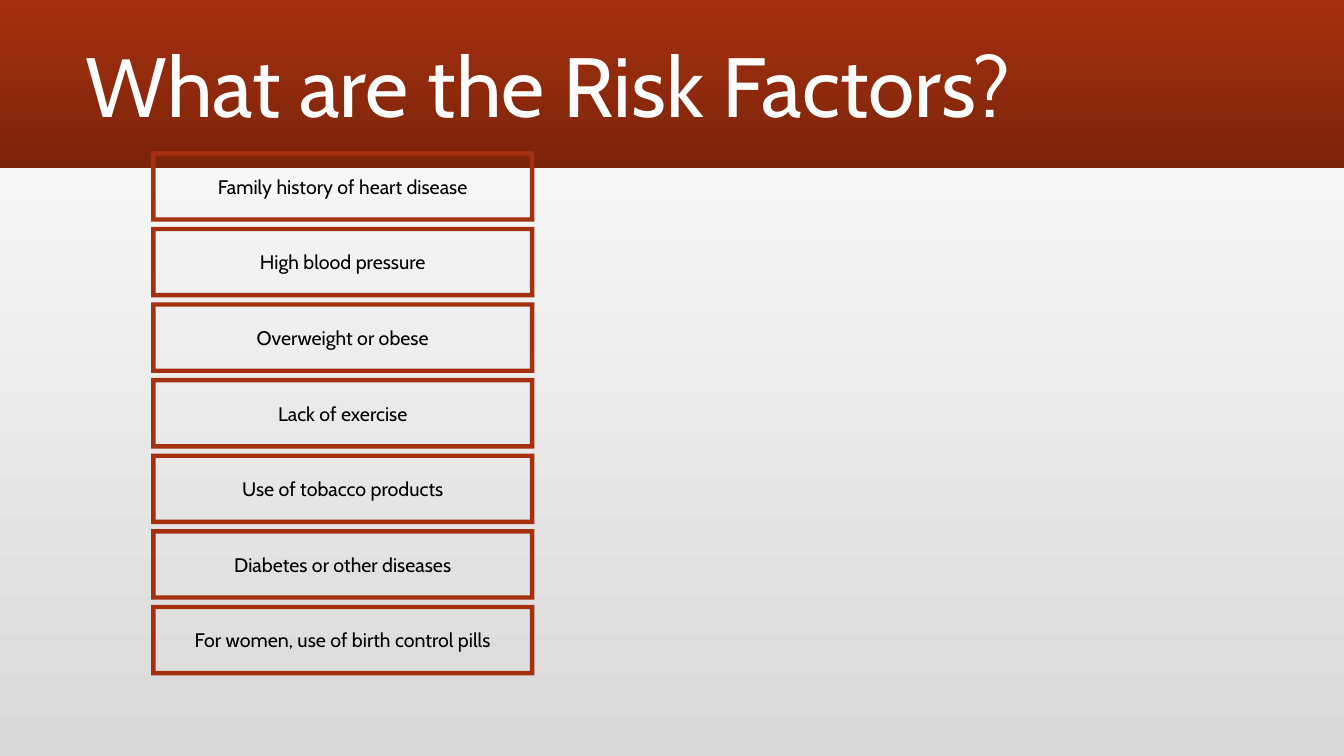
from pptx import Presentation
from pptx.dml.color import RGBColor
from pptx.enum.shapes import MSO_SHAPE
from pptx.enum.text import MSO_ANCHOR, PP_ALIGN
from pptx.util import Inches, Pt

TITLE = "What are the Risk Factors?"
RISK_FACTORS = [
    "Family history of heart disease",
    "High blood pressure",
    "Overweight or obese",
    "Lack of exercise",
    "Use of tobacco products",
    "Diabetes or other diseases",
    "For women, use of birth control pills",
]

RUST = RGBColor(0xA5, 0x30, 0x0F)
DARK_RUST = RGBColor(0x7C, 0x24, 0x0B)
GREY = RGBColor(0xD9, 0xD9, 0xD9)
WHITE = RGBColor(0xFF, 0xFF, 0xFF)
BLACK = RGBColor(0x00, 0x00, 0x00)

PAGE_WIDTH, PAGE_HEIGHT = 13.33, 7.5
BAND_HEIGHT = 1.67
TITLE_AREA = (0.75, 0.17, 11, 1.45)
LIST_LEFT, LIST_TOP = 1.5, 1.5
FRAME_WIDTH, FRAME_HEIGHT, ROW_PITCH = 3.8, 0.7, 0.75
FRAME_THICKNESS = 0.062

TITLE_FONT = {"name": "Cabin", "size": Pt(60)}
FACTOR_FONT = {"name": "Cabin", "size": Pt(14)}


def paint_gradient(fill, angle, colors):
    fill.gradient()
    fill.gradient_angle = angle
    for stop, color in zip(fill.gradient_stops, colors):
        stop.color.rgb = color


def write_text(shape, text, font_format, color, alignment):
    frame = shape.text_frame
    frame.word_wrap = True
    frame.vertical_anchor = MSO_ANCHOR.MIDDLE
    para = frame.paragraphs[0]
    para.alignment = alignment
    span = para.add_run()
    span.text = text
    for key, value in font_format.items():
        setattr(span.font, key, value)
    span.font.color.rgb = color
    return para


def add_plain_shape(page, kind, *area):
    shape = page.shapes.add_shape(kind, *map(Inches, area))
    shape.shadow.inherit = False
    shape.line.fill.background()
    return shape


def main():
    deck = Presentation()
    deck.slide_width = Inches(PAGE_WIDTH)
    deck.slide_height = Inches(PAGE_HEIGHT)
    page = deck.slides.add_slide(deck.slide_layouts[5])
    paint_gradient(page.background.fill, 90, (GREY, WHITE))

    title = page.shapes.title
    title.left, title.top, title.width, title.height = map(Inches, TITLE_AREA)
    heading = write_text(title, TITLE, TITLE_FONT, WHITE, PP_ALIGN.LEFT)
    heading.line_spacing = 0.9

    band = add_plain_shape(page, MSO_SHAPE.RECTANGLE, 0, 0, PAGE_WIDTH, BAND_HEIGHT)
    paint_gradient(band.fill, 270, (RUST, DARK_RUST))
    title.element.addprevious(band.element)

    for row, factor in enumerate(RISK_FACTORS):
        box = add_plain_shape(page, MSO_SHAPE.FRAME, LIST_LEFT,
                              LIST_TOP + row * ROW_PITCH, FRAME_WIDTH, FRAME_HEIGHT)
        box.adjustments[0] = FRAME_THICKNESS
        box.fill.solid()
        box.fill.fore_color.rgb = RUST
        write_text(box, factor, FACTOR_FONT, BLACK, PP_ALIGN.CENTER)

    deck.save("out.pptx")


if __name__ == "__main__":
    main()
